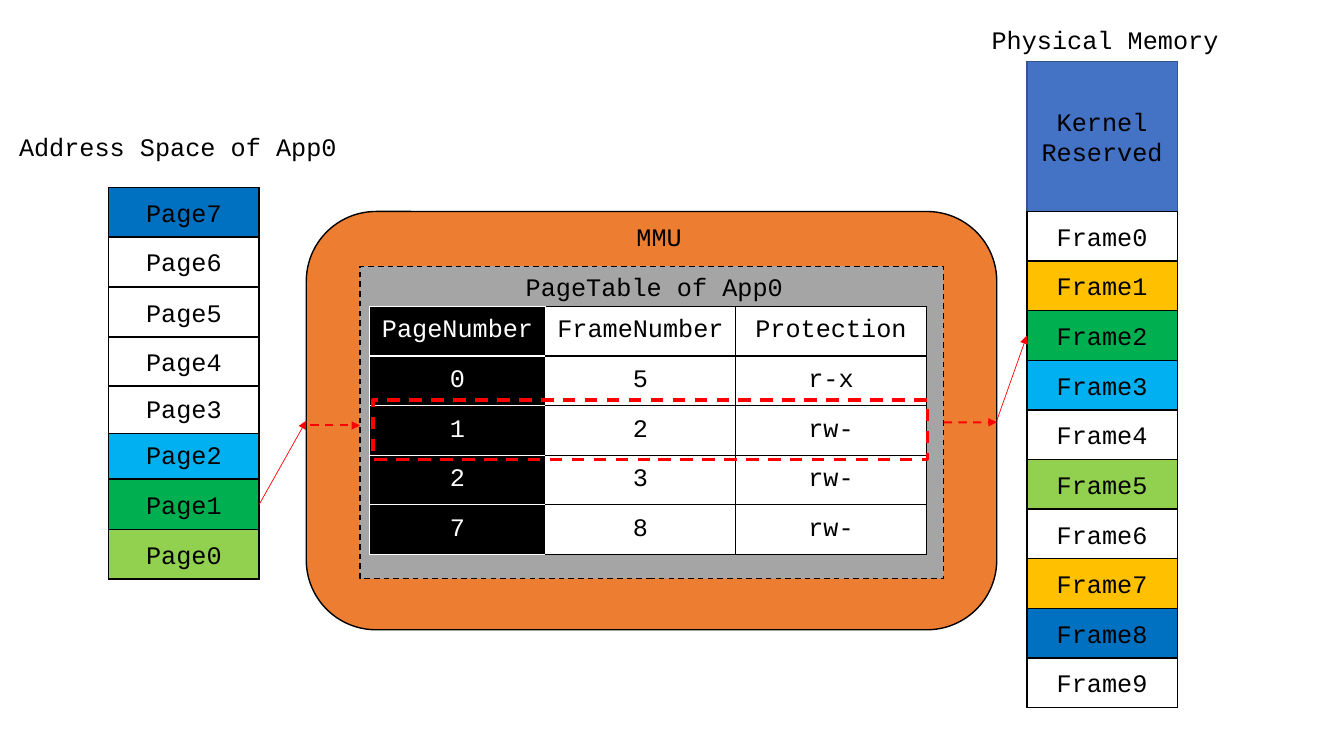
"""Draws how an MMU page table maps the pages of an application to memory frames."""
from lxml.etree import SubElement
from pptx import Presentation
from pptx.dml.color import RGBColor
from pptx.enum.dml import MSO_LINE_DASH_STYLE as Dash
from pptx.enum.shapes import MSO_CONNECTOR, MSO_SHAPE as Preset
from pptx.enum.text import MSO_ANCHOR, PP_ALIGN
from pptx.oxml.ns import qn
from pptx.util import Cm, Pt

BLACK = RGBColor(0x00, 0x00, 0x00)
WHITE = RGBColor(0xFF, 0xFF, 0xFF)
RED = RGBColor(0xFF, 0x00, 0x00)
ORANGE = RGBColor(0xED, 0x7D, 0x31)
GRAY = RGBColor(0xA5, 0xA5, 0xA5)
NAVY = RGBColor(0x32, 0x54, 0x91)
INDIGO = RGBColor(0x44, 0x72, 0xC4)
BLUE = RGBColor(0x00, 0x70, 0xC0)
SKY = RGBColor(0x00, 0xB0, 0xF0)
GREEN = RGBColor(0x00, 0xB0, 0x50)
LIME = RGBColor(0x92, 0xD0, 0x50)
AMBER = RGBColor(0xFF, 0xC0, 0x00)

CELL_WIDTH, CELL_HEIGHT = 3.79, 1.25
PAGES_LEFT, FRAMES_LEFT, FRAMES_TOP = 2.74, 25.88, 5.33
PAGES = [
    ("Page0", 13.34, LIME), ("Page1", 12.09, GREEN), ("Page2", 10.82, SKY),
    ("Page3", 9.68, WHITE), ("Page4", 8.48, WHITE), ("Page5", 7.24, WHITE),
    ("Page6", 5.97, WHITE), ("Page7", 4.72, BLUE),
]
FRAME_FILLS = [WHITE, AMBER, GREEN, SKY, WHITE, LIME, WHITE, AMBER, BLUE, WHITE]
PAGE_TABLE = [
    ("PageNumber", "FrameNumber", "Protection"),
    ("0", "5", "r-x"),
    ("1", "2", "rw-"),
    ("2", "3", "rw-"),
    ("7", "8", "rw-"),
]


class Diagram:
    """Holds the text style and the current slide."""

    FONT = {"name": "Courier New", "size": Pt(18)}

    def __init__(self, slide):
        self.slide = slide

    def letter(self, frame, text, color=BLACK, align=PP_ALIGN.CENTER):
        frame.word_wrap = True
        frame.text = text
        for paragraph in frame.paragraphs:
            paragraph.alignment = align
            for name, value in self.FONT.items():
                setattr(paragraph.font, name, value)
            paragraph.font.color.rgb = color

    def stroke(self, line, color, width, dash=None):
        line.color.rgb = color
        for name, value in {"width": Pt(width), "dash_style": dash}.items():
            setattr(line, name, value)

    def box(self, left, top, width, height, fill=None, text="", preset=Preset.RECTANGLE,
            color=BLACK, weight=1, dash=None):
        shape = self.slide.shapes.add_shape(preset, Cm(left), Cm(top), Cm(width), Cm(height))
        shape.shadow.inherit = False
        if fill is None:
            shape.fill.background()
        else:
            shape.fill.solid()
            shape.fill.fore_color.rgb = fill
        self.stroke(shape.line, color, weight, dash)
        if text:
            self.letter(shape.text_frame, text)
            shape.text_frame.vertical_anchor = MSO_ANCHOR.MIDDLE
        return shape

    def label(self, left, top, width, text, align=PP_ALIGN.LEFT):
        caption = self.slide.shapes.add_textbox(Cm(left), Cm(top), Cm(width), Cm(1.03))
        self.letter(caption.text_frame, text, align=align)

    def arrow(self, start, end, weight, dash=None, source=None, target=None):
        link = self.slide.shapes.add_connector(
            MSO_CONNECTOR.STRAIGHT, *[Cm(value) for value in (*start, *end)])
        if source is not None:
            link.begin_connect(source, 3)
        if target is not None:
            link.end_connect(target, 1)
        self.stroke(link.line, RED, weight, dash)
        properties = link._element.spPr
        SubElement(properties.find(qn("a:ln")), qn("a:tailEnd"), type="triangle")
        SubElement(properties, qn("a:effectLst"))

    def border(self, cell, sides):
        properties = cell._tc.get_or_add_tcPr()
        for position, (side, color) in enumerate(sides.items()):
            edge = SubElement(properties, qn(f"a:{side}"), w=str(int(Pt(1))))
            fill = SubElement(edge, qn("a:solidFill"))
            SubElement(fill, qn("a:srgbClr"), val=str(color))
            properties.insert(position, edge)

    def table(self, left, top, widths, row_height, rows):
        grid = self.slide.shapes.add_table(
            len(rows), len(widths), Cm(left), Cm(top),
            Cm(sum(widths)), Cm(row_height * len(rows))).table
        for column, width in zip(grid.columns, widths):
            column.width = Cm(width)
        for row, values in zip(grid.rows, rows):
            row.height = Cm(row_height)
            for index, (cell, value) in enumerate(zip(row.cells, values)):
                fill, ink = (WHITE, BLACK) if index else (BLACK, WHITE)
                self.letter(cell.text_frame, value, ink)
                formats = {"vertical_anchor": MSO_ANCHOR.MIDDLE,
                           "margin_left": 0, "margin_right": 0}
                for name, setting in formats.items():
                    setattr(cell, name, setting)
                cell.fill.solid()
                cell.fill.fore_color.rgb = fill
                left_ink = WHITE if index < 2 else BLACK
                self.border(cell, {"lnL": left_ink, "lnR": ink, "lnT": ink, "lnB": ink})


def main():
    deck = Presentation()
    deck.slide_width, deck.slide_height = Cm(33.87), Cm(19.05)
    diagram = Diagram(deck.slides.add_slide(deck.slide_layouts[6]))

    mmu = diagram.box(7.72, 5.33, 17.4, 10.54, ORANGE, preset=Preset.ROUNDED_RECTANGLE)
    page_table = diagram.box(9.07, 6.71, 14.71, 7.87, GRAY, dash=Dash.DASH)

    diagram.box(PAGES_LEFT, 4.72, CELL_WIDTH, 9.88, WHITE)
    pages = {name: diagram.box(PAGES_LEFT, top, CELL_WIDTH, CELL_HEIGHT, fill, name)
             for name, top, fill in PAGES}
    diagram.label(0.23, 3.18, 8.84, "Address Space of App0")

    diagram.box(FRAMES_LEFT, 1.55, CELL_WIDTH, 16.28, WHITE)
    diagram.label(24.74, 0.48, 8.66, "Physical Memory")
    diagram.box(FRAMES_LEFT, 1.55, CELL_WIDTH, 3.78, INDIGO, "Kernel\nReserved", color=NAVY)
    frames = [diagram.box(FRAMES_LEFT, FRAMES_TOP + number * CELL_HEIGHT,
                          CELL_WIDTH, CELL_HEIGHT, fill, f"Frame{number}")
              for number, fill in enumerate(FRAME_FILLS)]

    diagram.label(13, 6.71, 7.19, "PageTable of App0")
    diagram.label(14.25, 5.46, 4.72, "MMU", PP_ALIGN.CENTER)

    diagram.arrow((6.53, 12.7), (7.72, 10.6), 0.5, source=pages["Page1"], target=mmu)
    diagram.arrow((25.12, 10.6), (25.88, 8.46), 0.5, source=mmu, target=frames[2])
    diagram.arrow((7.82, 10.72), (9.07, 10.72), 1.5, Dash.DASH)
    diagram.arrow((23.78, 10.64), (25.12, 10.64), 1.5, Dash.DASH, source=page_table)

    diagram.table(9.32, 7.72, (4.42, 4.8, 4.8), CELL_HEIGHT, PAGE_TABLE)
    diagram.box(9.4, 10.08, 13.97, 1.5, color=RED, weight=2.25, dash=Dash.DASH)

    deck.save("out.pptx")


if __name__ == "__main__":
    main()
